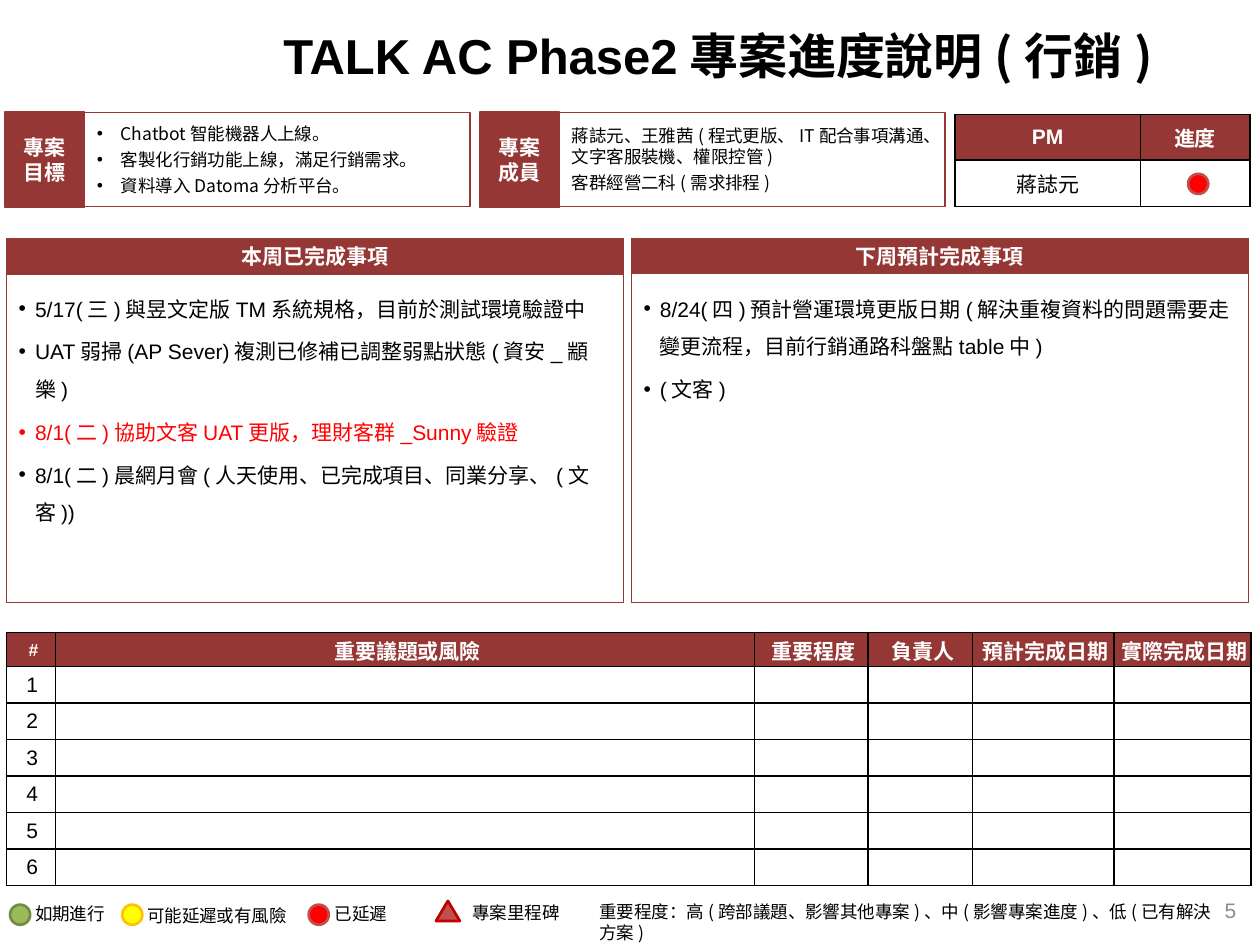
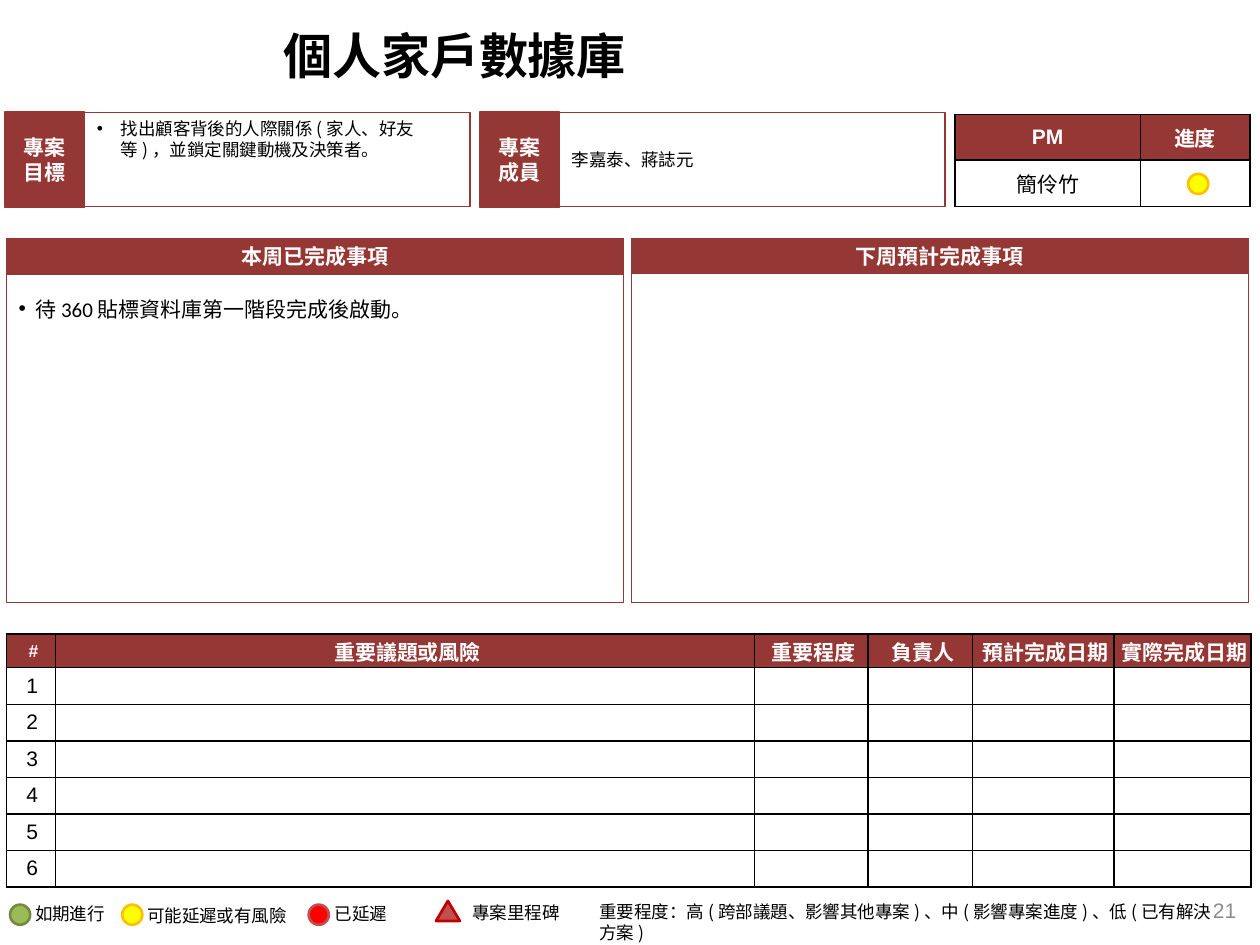
"""Build two weekly project status slides with shared panels, issue table and legend."""
from lxml.etree import SubElement
from pptx import Presentation
from pptx.dml.color import RGBColor
from pptx.enum.shapes import MSO_SHAPE
from pptx.enum.text import MSO_ANCHOR, MSO_AUTO_SIZE, PP_ALIGN
from pptx.oxml.ns import qn
from pptx.util import Inches, Pt

COLORS = {
    "band": "953735", "ink": "000000", "white": "FFFFFF", "page": "8C8C8C",
    "green": "9BBB59", "green_edge": "738A42", "yellow": "FFFF00", "yellow_edge": "FFC000",
    "red": "FF0000", "brick": "C0504D", "milestone_edge": "C00000",
}
LATIN, CJK = "Arial", "Noto Sans CJK SC"
STATUSES = {
    "on_track": ("green", "green_edge"),
    "at_risk": ("yellow", "yellow_edge"),
    "late": ("red", "brick"),
    "milestone": ("brick", "milestone_edge"),
}
HEADING = {"color": "white", "bold": True, "align": PP_ALIGN.CENTER}
CENTERED = {"align": PP_ALIGN.CENTER}
LIST = {"indent": 0.13, "spacing": 1.5, "after": 2.8, "anchor": MSO_ANCHOR.TOP,
        "insets": (0.1, 0.08, 0.1, 0.08)}
GOALS = {"size": 10, "font": CJK, "indent": 0.19, "after": 2.8}
LEGEND = [
    ("on_track", (0.08, 7.18), "如期進行", (0.18, 7.12, 0.76, 0.27)),
    ("late", (2.45, 7.18), "已延遲", (2.56, 7.12, 0.62, 0.27)),
    ("at_risk", (0.97, 7.18), "可能延遲或有風險", (1.07, 7.13, 1.32, 0.27)),
    ("milestone", (3.46, 7.15), "專案里程碑", (3.65, 7.11, 1.01, 0.27)),
]
ISSUE_COLUMNS = [("#", 0.39), ("重要議題或風險", 5.55), ("重要程度", 0.9),
                 ("負責人", 0.83), ("預計完成日期", 1.12), ("實際完成日期", 1.09)]
PROJECTS = [
    {
        "title": [("TALK AC Phase2", LATIN), ("專案進度說明(行銷)", CJK)],
        "page": "5", "manager": "蔣誌元", "status": "late", "issues_top": 5.02,
        "goals": ["Chatbot智能機器人上線。", "客製化行銷功能上線，滿足行銷需求。",
                  "資料導入Datoma分析平台。"],
        "goals_anchor": MSO_ANCHOR.MIDDLE,
        "members": ["蔣誌元、王雅茜(程式更版、IT配合事項溝通、文字客服裝機、權限控管)",
                    "客群經營二科(需求排程)"],
        "members_style": {"font": CJK, "after": 2.8},
        "done": ["5/17(三)與昱文定版TM系統規格，目前於測試環境驗證中",
                 "UAT弱掃(AP Sever)複測已修補已調整弱點狀態(資安_顓樂)",
                 "8/1(二)協助文客UAT更版，理財客群_Sunny驗證",
                 "8/1(二)晨網月會(人天使用、已完成項目、同業分享、(文客))"],
        "done_style": {"red_lines": (2,)},
        "planned": ["8/24(四)預計營運環境更版日期(解決重複資料的問題需要走變更流程，目前行銷通路科盤點table中)",
                    "(文客)"],
    },
    {
        "title": [("個人家戶數據庫", CJK)],
        "page": "21", "manager": "簡伶竹", "status": "at_risk", "issues_top": 5.03,
        "goals": ["找出顧客背後的人際關係(家人、好友等)，並鎖定關鍵動機及決策者。"],
        "goals_anchor": MSO_ANCHOR.TOP,
        "members": ["李嘉泰、蔣誌元"],
        "members_style": {"font": LATIN},
        "done": ["待360貼標資料庫第一階段完成後啟動。"],
        "done_style": {"font": "Calibri"},
        "planned": [],
    },
]


def add_run(paragraph, text, size, font, color, bold):
    run = paragraph.add_run()
    run.text = text
    run.font.size = Pt(size)
    run.font.bold = bold
    run.font.name = font
    run.font.color.rgb = RGBColor.from_string(COLORS[color])
    SubElement(run.font._element, qn("a:ea"), typeface=CJK)


def write(frame, lines, size=12, font=LATIN, color="ink", bold=False, align=PP_ALIGN.LEFT,
          anchor=MSO_ANCHOR.MIDDLE, insets=(0.1, 0.05, 0.1, 0.05), indent=0, spacing=1,
          after=0, red_lines=()):
    frame.word_wrap = True
    frame.vertical_anchor = anchor
    frame.margin_left, frame.margin_top, frame.margin_right, frame.margin_bottom = map(Inches, insets)
    for number, line in enumerate(lines):
        paragraph = frame.add_paragraph() if number else frame.paragraphs[0]
        paragraph.alignment = align
        paragraph.line_spacing = spacing
        paragraph.space_after = Pt(after)
        if indent:
            properties = paragraph._p.get_or_add_pPr()
            properties.set("marL", str(Inches(indent)))
            properties.set("indent", str(-Inches(indent)))
            SubElement(properties, qn("a:buFont"), typeface="Arial")
            SubElement(properties, qn("a:buChar"), char="•")
        add_run(paragraph, line, size, font, "red" if number in red_lines else color, bold)


presentation = Presentation()
presentation.slide_width, presentation.slide_height = Inches(10), Inches(7.5)

for project in PROJECTS:
    slide = presentation.slides.add_slide(presentation.slide_layouts[6])
    shapes = slide.shapes

    page_number = shapes.add_textbox(*map(Inches, (7.66, 7.02, 2.25, 0.4)))
    write(page_number.text_frame, [project["page"]], color="page", align=PP_ALIGN.RIGHT)
    title = shapes.add_textbox(*map(Inches, (2.15, 0.09, 7.62, 0.69))).text_frame
    write(title, [])
    for text, font in project["title"]:
        add_run(title.paragraphs[0], text, 28, font, "ink", True)

    panels = [
        ((3.81, 0.89, 0.63, 0.76), "band", ["專案", "成員"], HEADING),
        ((4.44, 0.89, 3.06, 0.75), None, project["members"],
         {"size": 10, **project["members_style"]}),
        ((0.04, 0.89, 0.63, 0.76), "band", ["專案", "目標"], HEADING),
        ((0.67, 0.89, 3.06, 0.75), None, project["goals"],
         {**GOALS, "anchor": project["goals_anchor"]}),
        ((0.05, 1.89, 4.9, 0.29), "band", ["本周已完成事項"], {**HEADING, "after": 2.8}),
        ((0.05, 2.17, 4.9, 2.61), None, project["done"], {**LIST, **project["done_style"]}),
        ((5.01, 1.89, 4.9, 0.28), "band", ["下周預計完成事項"], {**HEADING, "after": 2.8}),
        ((5.01, 2.17, 4.9, 2.61), None, project["planned"], LIST),
    ]
    for place, fill, lines, style in panels:
        panel = shapes.add_shape(MSO_SHAPE.RECTANGLE, *map(Inches, place))
        panel.shadow.inherit = False
        panel.line.color.rgb = RGBColor.from_string(COLORS["band"])
        panel.line.width = Pt(0.75)
        if fill:
            panel.fill.solid()
            panel.fill.fore_color.rgb = RGBColor.from_string(COLORS[fill])
        else:
            panel.fill.background()
        write(panel.text_frame, lines, **style)

    issue_rows = [[name for name, width in ISSUE_COLUMNS]]
    issue_rows += [[str(number)] + [""] * 5 for number in range(1, 7)]
    tables = [
        ((7.58, 0.91), [1.47, 0.87], [0.36, 0.37],
         [["PM", "進度"], [project["manager"], ""]], {}, {"after": 2.8}),
        ((0.05, project["issues_top"]), [width for name, width in ISSUE_COLUMNS],
         [0.27] + [0.29] * 6, issue_rows,
         {"insets": (0.04, 0, 0.02, 0)}, {"insets": (0.04, 0, 0, 0), "spacing": 1.06}),
    ]
    for (left, top), widths, heights, rows, body_style, head_style in tables:
        table = shapes.add_table(len(rows), len(widths), Inches(left), Inches(top),
                                 Inches(sum(widths)), Inches(sum(heights))).table
        for column, width in zip(table.columns, widths):
            column.width = Inches(width)
        for row_index, (height, row) in enumerate(zip(heights, rows)):
            table.rows[row_index].height = Inches(height)
            for column_index, text in enumerate(row):
                cell = table.cell(row_index, column_index)
                is_head = row_index == 0
                style = {**HEADING, **head_style} if is_head else {**CENTERED, **body_style}
                insets = style.pop("insets", (0.1, 0.05, 0.1, 0.05))
                write(cell.text_frame, [text] if text else [], insets=insets,
                      size=10 if text == "#" else 12, **style)
                cell.vertical_anchor = MSO_ANCHOR.MIDDLE
                cell.margin_left, cell.margin_top, cell.margin_right, cell.margin_bottom = map(Inches, insets)
                if not text:
                    SubElement(cell.text_frame.paragraphs[0]._p, qn("a:endParaRPr"), sz="1000")
                properties = cell._tc.get_or_add_tcPr()
                for side in ("a:lnL", "a:lnR", "a:lnT", "a:lnB"):
                    border = SubElement(properties, qn(side), w=str(Pt(1)))
                    SubElement(SubElement(border, qn("a:solidFill")), qn("a:srgbClr"), val=COLORS["ink"])
                cell.fill.solid()
                cell.fill.fore_color.rgb = RGBColor.from_string(COLORS["band" if is_head else "white"])

    criteria = shapes.add_textbox(*map(Inches, (4.66, 7.05, 5.12, 0.37)))
    write(criteria.text_frame, ["重要程度：高(跨部議題、影響其他專案)、中(影響專案進度)、低(已有解決方案)"],
          size=10, font=CJK, anchor=MSO_ANCHOR.TOP, insets=(0.1, 0.1, 0.1, 0.1))
    for status, marker_place, label, label_place in LEGEND + [(project["status"], (9.43, 1.38), "", None)]:
        is_milestone = status == "milestone"
        marker = shapes.add_shape(MSO_SHAPE.ISOSCELES_TRIANGLE if is_milestone else MSO_SHAPE.OVAL,
                                  *map(Inches, (*marker_place, 0.19 if is_milestone else 0.16, 0.16)))
        fill, edge = STATUSES[status]
        marker.shadow.inherit = False
        marker.fill.solid()
        marker.fill.fore_color.rgb = RGBColor.from_string(COLORS[fill])
        marker.line.color.rgb = RGBColor.from_string(COLORS[edge])
        marker.line.width = Pt(1.5)
        if label:
            caption = shapes.add_textbox(*map(Inches, label_place)).text_frame
            write(caption, [label], size=10, font=CJK if is_milestone else LATIN, anchor=MSO_ANCHOR.TOP)
            caption.word_wrap = is_milestone
            caption.auto_size = MSO_AUTO_SIZE.SHAPE_TO_FIT_TEXT

presentation.save("out.pptx")
